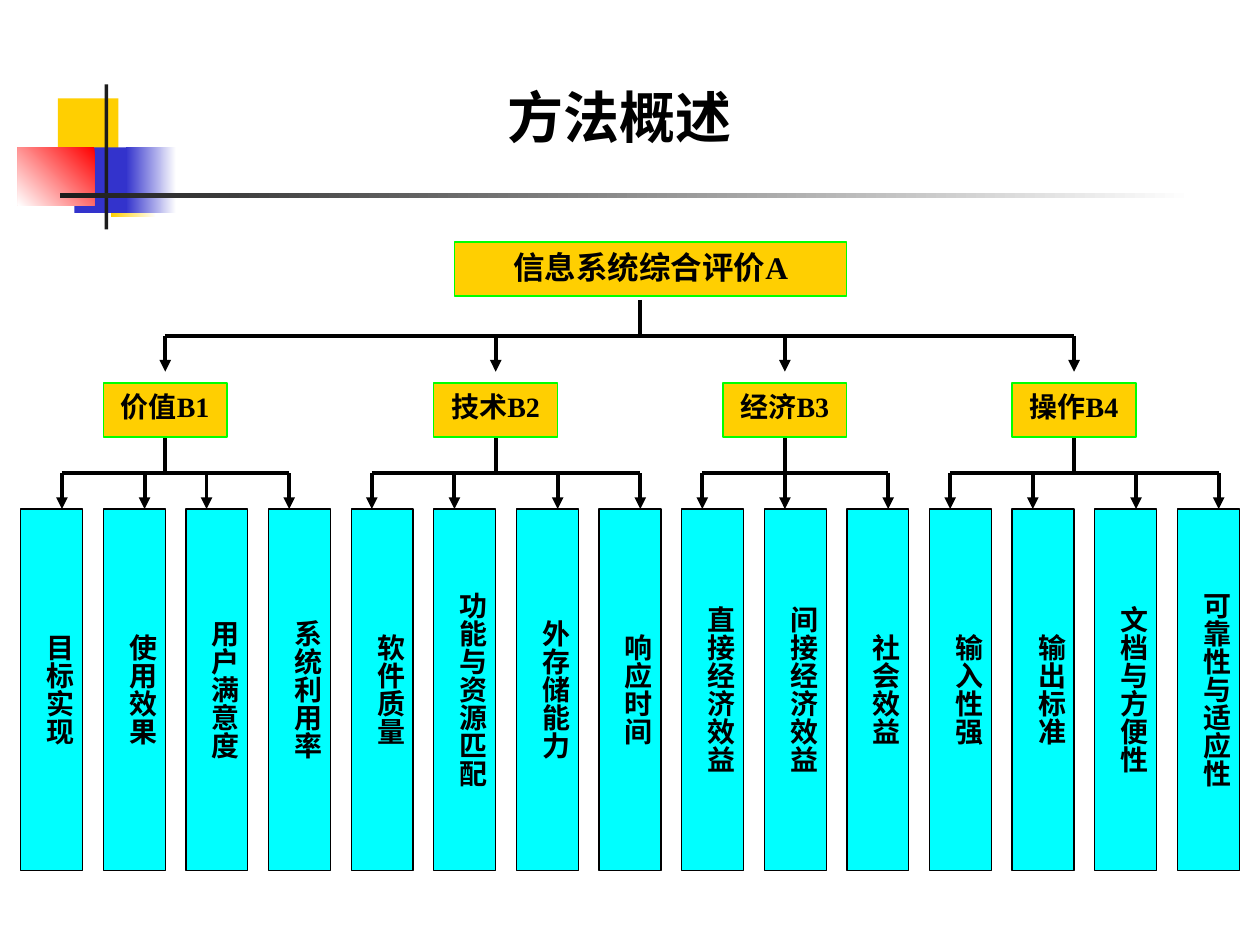
"""Build the evaluation hierarchy slide for information systems."""
from lxml import etree
from pptx import Presentation
from pptx.dml.color import RGBColor
from pptx.enum.shapes import MSO_CONNECTOR, MSO_SHAPE
from pptx.enum.text import MSO_ANCHOR, PP_ALIGN
from pptx.oxml.ns import qn
from pptx.util import Inches, Pt

RECT, STRAIGHT = MSO_SHAPE.RECTANGLE, MSO_CONNECTOR.STRAIGHT
TOP, MIDDLE, CENTER = MSO_ANCHOR.TOP, MSO_ANCHOR.MIDDLE, PP_ALIGN.CENTER

W, H = 10, 7.5
U = W / 61
FONT = "Times New Roman"
BLACK, WHITE, GOLD, BLUE = "000000", "FFFFFF", "FFCF01", "3333CC"
GREEN, CYAN, DARK, RED = "00FF00", "00FFFF", "1C1C1C", "FF0000"

TITLE = "方法概述"
ROOT = "信息系统综合评价A"
# name, centre column, arrow columns, leaves
BRANCHES = [
    ("价值B1", 8, (3, 7, 10, 14),
     ("目标实现", "使用效果", "用户满意度", "系统利用率")),
    ("技术B2", 24, (18, 22, 27, 31),
     ("软件质量", "功能与资源匹配", "外存储能力", "响应时间")),
    ("经济B3", 38, (34, 38, 43),
     ("直接经济效益", "间接经济效益", "社会效益")),
    ("操作B4", 52, (46, 50, 55, 59),
     ("输入性强", "输出标准", "文档与方便性", "可靠性与适应性")),
]
DECOR = [
    ((0.46, 0.78, 0.48, 0.52), (GOLD,), 0),
    ((0.88, 1.2, 0.36, 0.52), (WHITE, GOLD), 180),
    ((0.59, 1.17, 0.46, 0.52), (BLUE,), 0),
    ((1, 1.17, 0.4, 0.52), (WHITE, BLUE), 180),
    ((0.14, 1.17, 0.61, 0.46), (RED, WHITE), 225),
    ((0.83, 0.67, 0.03, 1.15), (DARK,), 0),
    ((0.48, 1.53, 9, 0.04), (WHITE, DARK), 180),
]
ROOT_Y, BRANCH_Y, LEAF_Y = 1.92, 3.04, 4.04
BOX_H, LEAF_H, STEP = 0.43, 2.87, 0.285


def rgb(color):
    return RGBColor.from_string(color)


def rect(s, box, colors, angle=0, line=None):
    sp = s.shapes.add_shape(RECT, *map(Inches, box))
    sp.shadow.inherit = False
    if len(colors) == 1:
        sp.fill.solid()
        sp.fill.fore_color.rgb = rgb(colors[0])
    else:
        sp.fill.gradient()
        sp.fill.gradient_angle = angle
        for stop, color, pos in zip(sp.fill.gradient_stops, colors, (0, 1)):
            stop.color.rgb, stop.position = rgb(color), pos
    if line:
        sp.line.color.rgb, sp.line.width = rgb(line), Pt(0.75)
    else:
        sp.line.fill.background()
    return sp


def write(sp, text, size, anchor=TOP, vertical=False):
    tf = sp.text_frame
    tf.word_wrap, tf.vertical_anchor = True, anchor
    side, end = (0.05, 0.1) if vertical else (0.1, 0.05)
    tf.margin_left = tf.margin_right = Inches(side)
    tf.margin_top = tf.margin_bottom = Inches(end)
    if vertical:
        tf._txBody.bodyPr.set("vert", "eaVert")
        tf._txBody.bodyPr.set("anchorCtr", "1")
    p = tf.paragraphs[0]
    p.text, p.alignment = text, CENTER
    p.font.name, p.font.size, p.font.bold = FONT, Pt(size), True
    p.font.color.rgb = rgb(BLACK)


def line(s, x1, y1, x2, y2, arrow=False):
    c = s.shapes.add_connector(STRAIGHT, *map(Inches, (x1 * U, y1, x2 * U, y2)))
    c.line.color.rgb, c.line.width = rgb(BLACK), Pt(2.25)
    if arrow:
        etree.SubElement(c.line._get_or_add_ln(), qn("a:tailEnd"), type="triangle")
    etree.SubElement(c._element.spPr, qn("a:effectLst"))


def tree(s, stem, columns, top):
    bar = top + STEP
    line(s, stem, top, stem, bar)
    line(s, columns[0], bar, columns[-1], bar)
    for x in columns:
        line(s, x, bar, x, bar + STEP, arrow=True)


def main():
    prs = Presentation()
    prs.slide_width, prs.slide_height = Inches(W), Inches(H)
    s = prs.slides.add_slide(prs.slide_layouts[6])

    for box, colors, angle in DECOR:
        rect(s, box, colors, angle)
    title = s.shapes.add_textbox(*map(Inches, (0.67, 0.42, 8.5, 1)))
    write(title, TITLE, 32, MIDDLE)

    column = 1
    for name, centre, arrows, leaves in BRANCHES:
        for leaf in leaves:
            box = (column * U, LEAF_Y, 3 * U, LEAF_H)
            write(rect(s, box, (CYAN,), line=BLACK), leaf, 16, vertical=True)
            column += 4
        tree(s, centre, arrows, BRANCH_Y + BOX_H)
        box = ((centre - 3) * U, BRANCH_Y, 6 * U, BOX_H)
        write(rect(s, box, (GOLD,), line=GREEN), name, 16)

    tree(s, 31, [b[1] for b in BRANCHES], 2.38)
    box = (22 * U, ROOT_Y, 19 * U, BOX_H)
    write(rect(s, box, (GOLD,), line=GREEN), ROOT, 18)
    prs.save("out.pptx")


if __name__ == "__main__":
    main()
